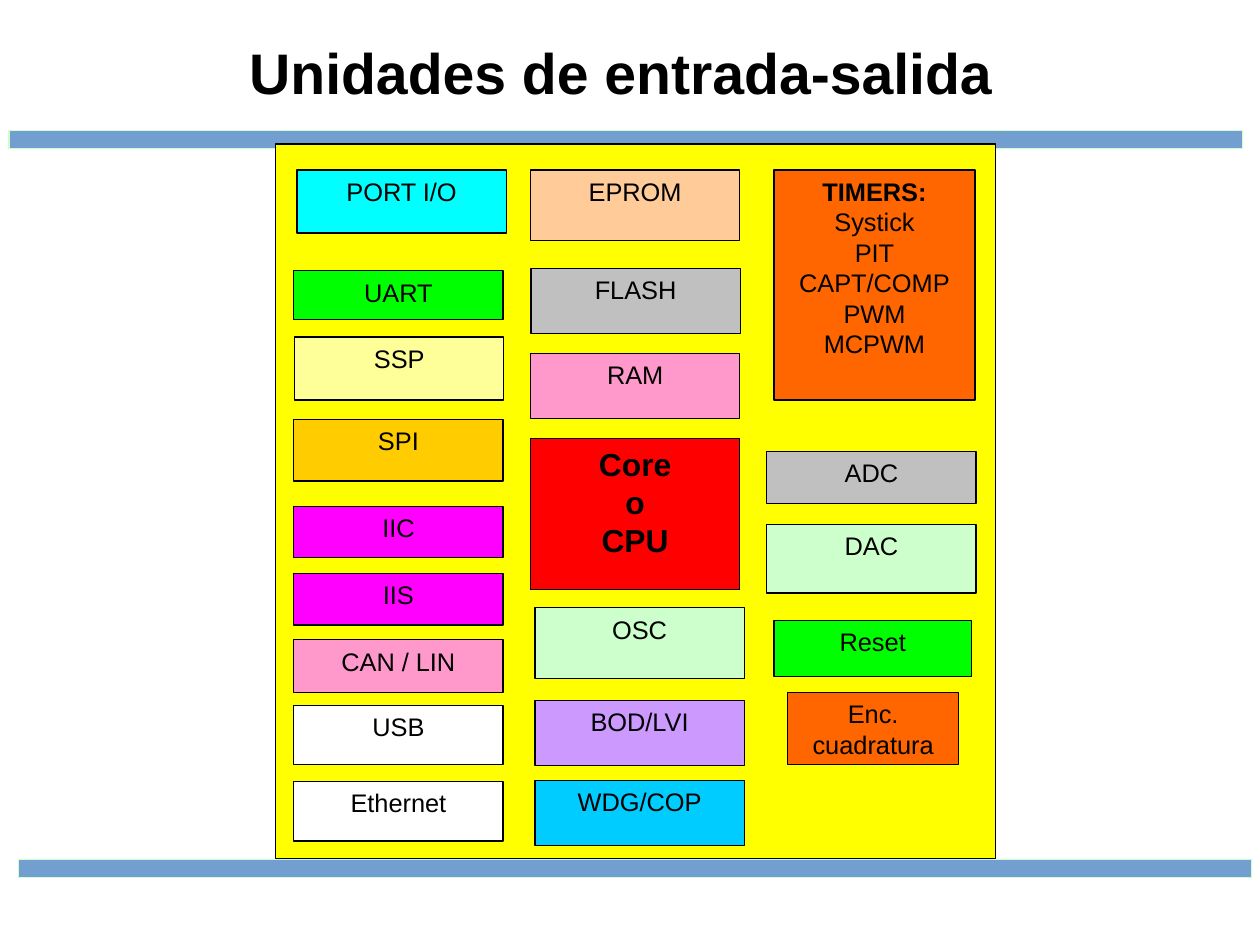
from pptx import Presentation
from pptx.dml.color import RGBColor
from pptx.enum.shapes import MSO_SHAPE
from pptx.enum.text import MSO_ANCHOR, PP_ALIGN
from pptx.util import Cm, Pt


def paint(shape, fill, edge="000000"):
    shape.shadow.inherit = False
    shape.fill.solid()
    shape.fill.fore_color.rgb = RGBColor.from_string(fill)
    shape.line.color.rgb = RGBColor.from_string(edge)
    shape.line.width = Pt(0.75)


def write(shape, text, size, bold, anchor):
    frame = shape.text_frame
    frame.text = text
    frame.word_wrap = True
    frame.vertical_anchor = anchor
    frame.margin_left = frame.margin_right = Cm(0.25)
    frame.margin_top = frame.margin_bottom = Cm(0.13)
    for para in frame.paragraphs:
        para.alignment = PP_ALIGN.CENTER
        for run in para.runs:
            run.font.name = "Arial"
            run.font.size = Pt(size)
            run.font.bold = bold
            run.font.color.rgb = RGBColor.from_string("000000")


deck = Presentation()
deck.slide_width = Cm(28)
deck.slide_height = Cm(21)
slide = deck.slides.add_slide(deck.slide_layouts[5])
shapes = slide.shapes

title = shapes.title
title.left, title.top = Cm(1.45), Cm(0.48)
title.width, title.height = Cm(24.69), Cm(2.21)
write(title, "Unidades de entrada-salida", 36, True, MSO_ANCHOR.MIDDLE)

for left, top in [(0.2, 2.9), (0.41, 19.1)]:
    bar = shapes.add_shape(MSO_SHAPE.FLOWCHART_PROCESS, Cm(left), Cm(top), Cm(27.41), Cm(0.41))
    paint(bar, "729FCF", "CCFFCC")

chip = shapes.add_shape(MSO_SHAPE.RECTANGLE, Cm(6.12), Cm(3.2), Cm(16), Cm(15.88))
paint(chip, "FFFF00")

wide = 4.65
timers = "TIMERS:\nSystick\nPIT\nCAPT/COMP\nPWM\nMCPWM"
core = "Core\no\nCPU"
units = [
    ("PORT I/O", 6.6, 3.78, wide, 1.4, "00FFFF"),
    ("UART", 6.53, 6.02, wide, 1.09, "00FF00"),
    ("SSP", 6.55, 7.49, wide, 1.4, "FFFF99"),
    ("SPI", 6.53, 9.32, wide, 1.37, "FFCC00"),
    ("IIC", 6.53, 11.25, wide, 1.14, "FF00FF"),
    ("IIS", 6.53, 12.75, wide, 1.14, "FF00FF"),
    ("CAN / LIN", 6.53, 14.22, wide, 1.17, "FF99CC"),
    ("USB", 6.53, 15.67, wide, 1.32, "FFFFFF"),
    ("Ethernet", 6.53, 17.37, wide, 1.32, "FFFFFF"),
    ("EPROM", 11.79, 3.78, wide, 1.57, "FFCC99"),
    ("FLASH", 11.8, 5.97, wide, 1.45, "C0C0C0"),
    ("RAM", 11.79, 7.85, wide, 1.45, "FF99CC"),
    (core, 11.79, 9.75, wide, 3.35, "FF0000"),
    ("OSC", 11.89, 13.51, wide, 1.57, "CCFFCC"),
    ("BOD/LVI", 11.89, 15.57, wide, 1.45, "CC99FF"),
    ("WDG/COP", 11.89, 17.35, wide, 1.45, "00CCFF"),
    (timers, 17.2, 3.78, 4.47, 5.11, "FF6600"),
    ("ADC", 17.04, 10.03, wide, 1.17, "C0C0C0"),
    ("DAC", 17.04, 11.66, wide, 1.52, "CCFFCC"),
    ("Reset", 17.2, 13.79, 4.39, 1.24, "00FF00"),
    ("Enc. cuadratura", 17.5, 15.39, 3.81, 1.6, "FF6600"),
]
for text, left, top, width, height, fill in units:
    box = shapes.add_shape(MSO_SHAPE.RECTANGLE, Cm(left), Cm(top), Cm(width), Cm(height))
    paint(box, fill)
    write(box, text, 20 if text == core else 16, text == core, MSO_ANCHOR.TOP)
    if text == timers:
        box.text_frame.paragraphs[0].runs[0].font.bold = True

deck.save("out.pptx")
